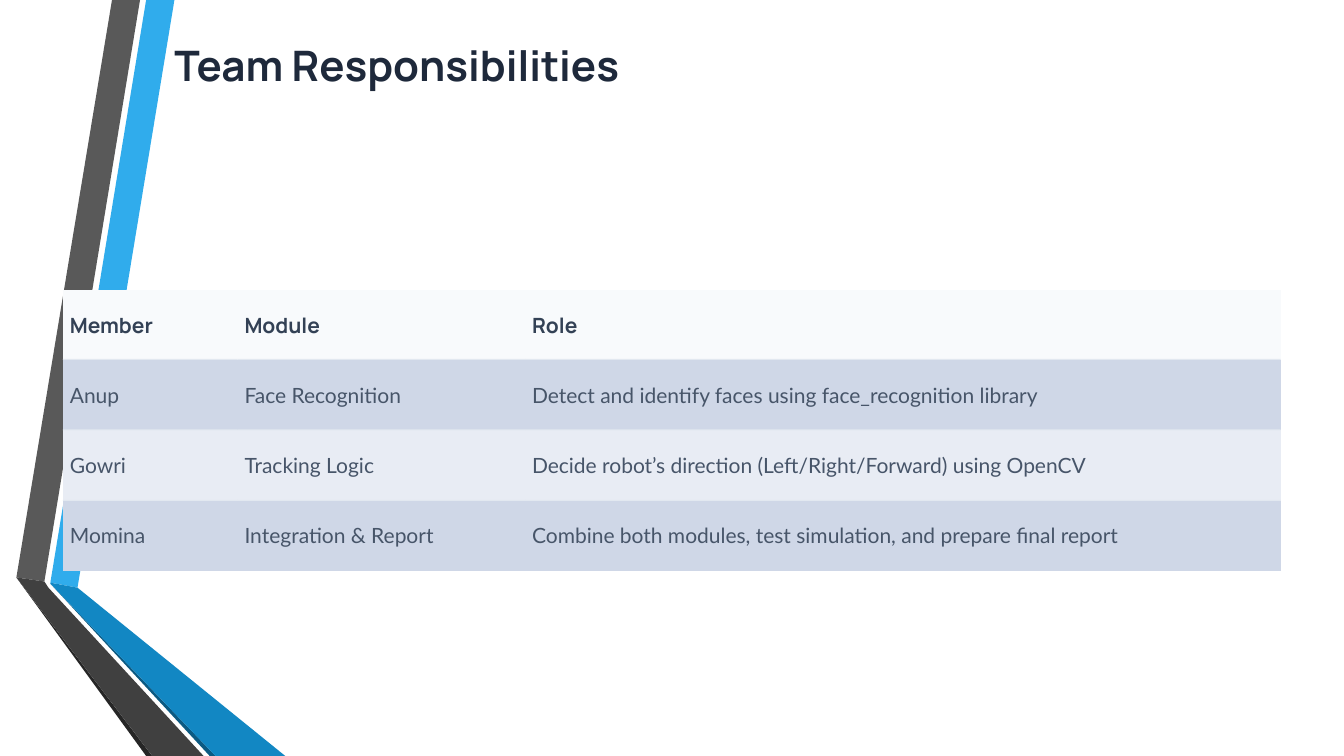
import pptx
import pptx.util
import pptx.dml.color
import pptx.enum.shapes
import pptx.enum.text

Pt = pptx.util.Pt


def paint(fill, color):
    fill.solid()
    fill.fore_color.rgb = pptx.dml.color.RGBColor.from_string(color)


def add_run(p, text, font, size, color, bold):
    r = p.add_run()
    r.text = text
    r.font.name = font
    r.font.size = Pt(size)
    r.font.bold = bold
    paint(r.font.fill, color)


prs = pptx.Presentation()
prs.slide_width = Pt(960)
prs.slide_height = Pt(540)
s = prs.slides.add_slide(prs.slide_layouts[5])

ribbons = [
    ("30ACEC", [(36, 416.2), (55.4, 419.8), (124.6, 0), (104.4, 0)]),
    ("595959", [(100, 0), (80, 0), (11.7, 412.5), (31.7, 415.4)]),
    ("262626", [(11.7, 412.5), (104.4, 540), (108.7, 540)]),
    ("0C5A82", [(36, 416.9), (149.8, 540), (154, 540)]),
    ("1287C3", [(36, 416.9), (154, 540), (203.8, 540), (55.4, 419.8), (36, 416.2)]),
    ("404040", [(145.4, 540), (34.6, 419.8), (31.7, 415.4), (11.7, 412.5), (108.7, 540)]),
]
for color, points in ribbons:
    fb = s.shapes.build_freeform(Pt(points[0][0]), Pt(points[0][1]))
    fb.add_line_segments([(Pt(x), Pt(y)) for x, y in points[1:]], close=True)
    sp = fb.convert_to_shape()
    paint(sp.fill, color)
    sp.line.fill.background()
    sp.shadow.inherit = False

rows = [
    ("Member", "Module", "Role"),
    ("Anup", "Face Recognition", "Detect and identify faces using face_recognition library"),
    ("Gowri", "Tracking Logic", "Decide robot’s direction (Left/Right/Forward) using OpenCV"),
    ("Momina", "Integration & Report", "Combine both modules, test simulation, and prepare final report"),
]
row_fills = ["F8FAFC", "CFD7E7", "E8ECF4", "CFD7E7"]
widths = [124.8, 205.4, 539.6]
left, top, row_height = 44.9, 207.1, 50.2

gf = s.shapes.add_table(len(rows), len(widths), Pt(left), Pt(top),
                        Pt(sum(widths)), Pt(row_height * len(rows)))
table = gf.table
style_id = gf._element.graphic.graphicData.tbl.tblPr[0]
style_id.text = "{2D5ABB26-0587-4C30-8999-92F81FD0307C}"
for col, width in zip(table.columns, widths):
    col.width = Pt(width)
for i, texts in enumerate(rows):
    table.rows[i].height = Pt(row_height)
    font, color = ("Lato", "475569") if i else ("Manrope", "334155")
    for j, text in enumerate(texts):
        cell = table.cell(i, j)
        paint(cell.fill, row_fills[i])
        cell.vertical_anchor = pptx.enum.text.MSO_ANCHOR.MIDDLE
        cell.margin_left = cell.margin_right = Pt(5)
        cell.margin_top = cell.margin_bottom = Pt(2.5)
        add_run(cell.text_frame.paragraphs[0], text, font, 15, color, i == 0)

for i in range(len(rows) - 1):
    for j, width in enumerate(widths):
        sp = s.shapes.add_shape(pptx.enum.shapes.MSO_SHAPE.RECTANGLE,
                                Pt(left + sum(widths[:j])), Pt(256.3 + 50.4 * i),
                                Pt(width), Pt(0.7))
        paint(sp.fill, "E2E8F0")
        sp.line.fill.background()
        sp.shadow.inherit = False

title = s.shapes.title
title.left, title.top, title.width, title.height = Pt(124.6), Pt(28), Pt(800), Pt(44.6)
tf = title.text_frame
tf.word_wrap = True
tf.auto_size = pptx.enum.text.MSO_AUTO_SIZE.NONE
tf.vertical_anchor = pptx.enum.text.MSO_ANCHOR.TOP
tf.margin_left = tf.margin_right = tf.margin_top = tf.margin_bottom = 0
p = tf.paragraphs[0]
p.alignment = pptx.enum.text.PP_ALIGN.LEFT
add_run(p, "Team Responsibilities", "Manrope", 30, "1E293B", True)

prs.save("out.pptx")
